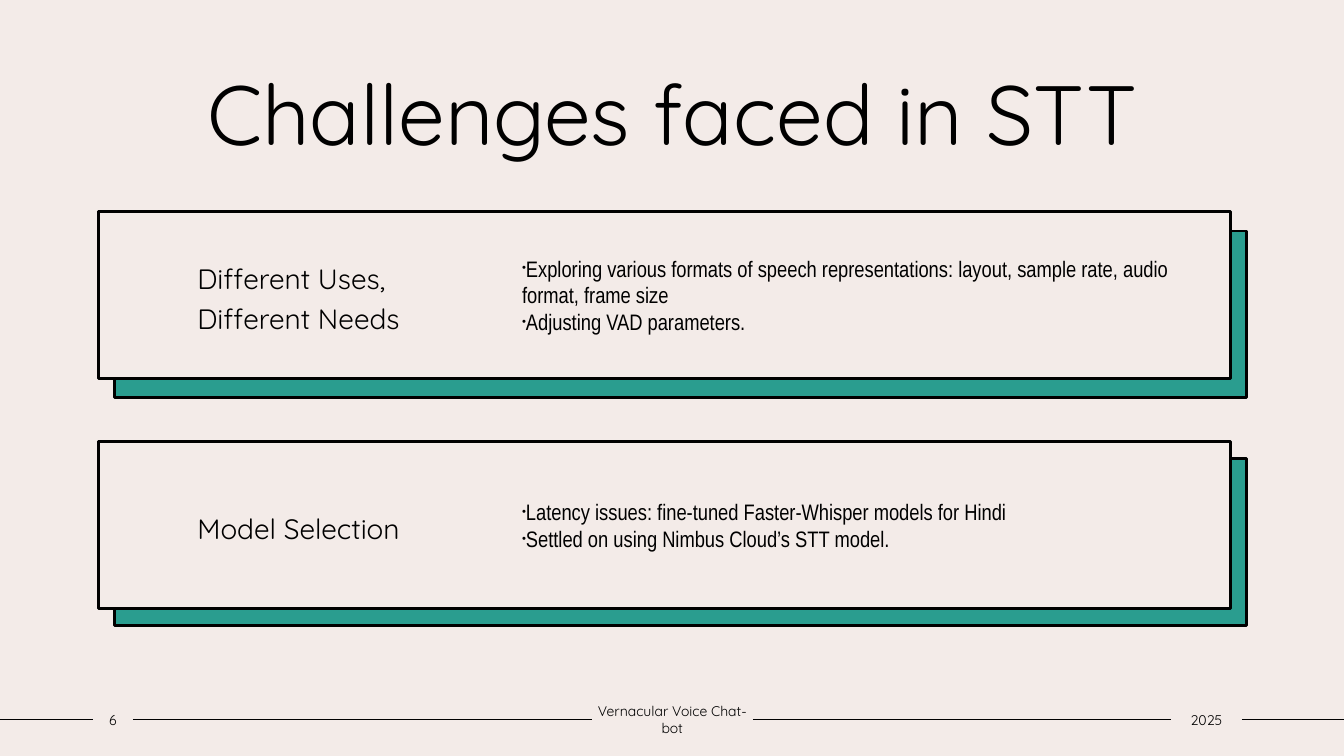
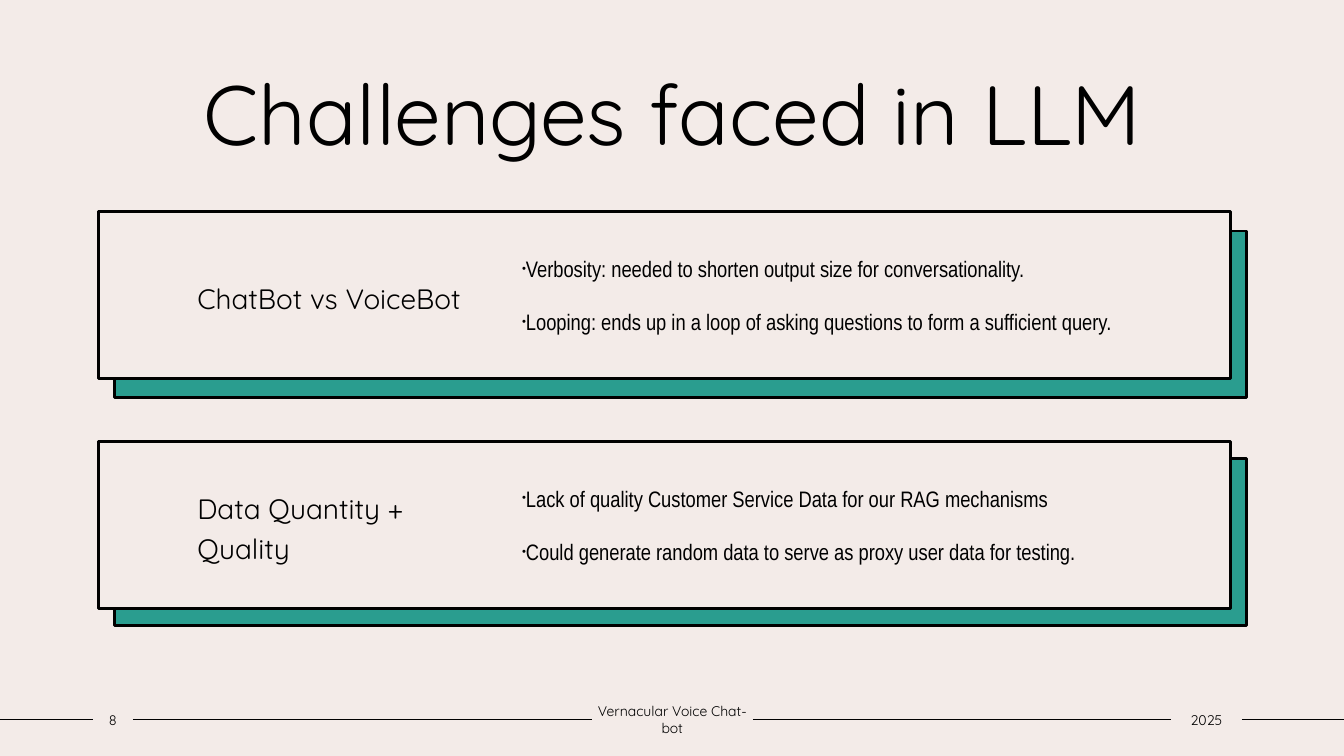
from itertools import zip_longest

from lxml import etree
from pptx import Presentation
from pptx.dml.color import RGBColor
from pptx.enum.shapes import MSO_CONNECTOR, MSO_SHAPE
from pptx.enum.text import MSO_ANCHOR, MSO_AUTO_SIZE, PP_ALIGN
from pptx.oxml.ns import qn
from pptx.util import Pt

RECTANGLE = MSO_SHAPE.RECTANGLE
STRAIGHT = MSO_CONNECTOR.STRAIGHT
TOP, MIDDLE = MSO_ANCHOR.TOP, MSO_ANCHOR.MIDDLE
LEFT, CENTER = PP_ALIGN.LEFT, PP_ALIGN.CENTER
NO_AUTOFIT = MSO_AUTO_SIZE.NONE

CREAM = RGBColor(0xF3, 0xEB, 0xE8)
TEAL = RGBColor(0x2A, 0x9D, 0x8F)
BLACK = RGBColor(0, 0, 0)

# Each card: heading lines, bullets, space between bullets
SLIDES = [
    {
        "title": "Challenges faced in STT",
        "number": "6",
        "cards": [
            (["Different Uses,", "Different Needs"],
             ["Exploring various formats of speech representations: layout, "
              "sample rate, audio format, frame size",
              "Adjusting VAD parameters."], 0),
            (["Model Selection"],
             ["Latency issues: fine-tuned Faster-Whisper models for Hindi",
              "Settled on using Nimbus Cloud’s STT model."], 0),
        ],
    },
    {
        "title": "Challenges faced in LLM",
        "number": "8",
        "cards": [
            (["ChatBot vs VoiceBot"],
             ["Verbosity: needed to shorten output size for conversationality.",
              "Looping: ends up in a loop of asking questions to form a "
              "sufficient query."], 19),
            (["Data Quantity +", "Quality"],
             ["Lack of quality Customer Service Data for our RAG mechanisms",
              "Could generate random data to serve as proxy user data for "
              "testing."], 19),
        ],
    },
]
DECK_NAME = "Vernacular Voice Chat-bot"
YEAR = "2025"

SLIDE_W, SLIDE_H = 960, 540
TITLE_BOX = (90, 40.3, 780.5, 80)
CARD_LEFT, CARD_W, CARD_H = 70.5, 808.5, 119
CARD_TOPS = (151.2, 315.4)
SHADOW_LEFT = 82
SHADOW_TOPS = (165, 327.6)
BULLETS_LEFT, BULLETS_W, BULLETS_INSET = 365.8, 504.7, 7.2
FOOTER_TOP, FOOTER_H = 504.4, 19.4
FOOTER_SPANS = ((66.2, 28.8), (422.6, 115.2), (836.6, 50.4))

TITLE_FONT = {"name": "Quicksand", "size": Pt(60)}
HEADING_FONT = {"name": "Quicksand", "size": Pt(20)}
BULLET_FONT = {"name": "Arial Narrow", "size": Pt(16)}
FOOTER_FONT = {"name": "Quicksand", "size": Pt(10)}


def points(*lengths):
    return [Pt(length) for length in lengths]


def add_bullet(paragraph):
    properties = paragraph._p.get_or_add_pPr()
    properties.set("marL", "0")
    properties.set("indent", str(-Pt(10.8)))
    etree.SubElement(properties, qn("a:buSzPct")).set("val", "50000")
    etree.SubElement(properties, qn("a:buFont")).set("typeface", "Arial")
    etree.SubElement(properties, qn("a:buChar")).set("char", "•")


def write(frame, lines, font, align=LEFT, anchor=MIDDLE, insets=(7.2, 7.2),
          spacing=1.0, gap=0, bullets=False):
    """Fill a text frame, one paragraph per line; insets are left and right."""
    frame_format = {
        "word_wrap": True, "auto_size": NO_AUTOFIT, "vertical_anchor": anchor,
        "margin_left": Pt(insets[0]), "margin_right": Pt(insets[1]),
        "margin_top": Pt(3.6), "margin_bottom": Pt(3.6),
    }
    for name, value in frame_format.items():
        setattr(frame, name, value)
    for index, line in enumerate(lines):
        paragraph = frame.add_paragraph() if index else frame.paragraphs[0]
        paragraph.text = line
        paragraph.alignment = align
        paragraph.line_spacing = spacing
        paragraph.space_before = Pt(gap if index else 0)
        if bullets:
            add_bullet(paragraph)
        for name, value in font.items():
            setattr(paragraph.font, name, value)
        paragraph.font.color.rgb = BLACK


def add_panel(slide, left, top, fill):
    panel = slide.shapes.add_shape(
        RECTANGLE, *points(left, top, CARD_W, CARD_H))
    panel.shadow.inherit = False
    panel.fill.solid()
    panel.fill.fore_color.rgb = fill
    panel.line.color.rgb = BLACK
    panel.line.width = Pt(2)
    return panel


def add_card(slide, top, shadow_top, heading, bullets, gap):
    add_panel(slide, SHADOW_LEFT, shadow_top, TEAL)
    card = add_panel(slide, CARD_LEFT, top, CREAM)
    write(card.text_frame, heading, HEADING_FONT, insets=(70.5, 511),
          spacing=1.2)
    details = slide.shapes.add_textbox(*points(
        BULLETS_LEFT, top + BULLETS_INSET, BULLETS_W,
        CARD_H - 2 * BULLETS_INSET))
    write(details.text_frame, bullets, BULLET_FONT, gap=gap, bullets=True)


def add_footer(slide, number):
    """Three labels with rules running between them and to the slide edges."""
    labels = []
    for (left, width), text in zip(FOOTER_SPANS, (number, DECK_NAME, YEAR)):
        label = slide.shapes.add_textbox(
            *points(left, FOOTER_TOP, width, FOOTER_H))
        write(label.text_frame, [text], FOOTER_FONT, CENTER, insets=(0, 0))
        labels.append(label)

    rule_y = FOOTER_TOP + FOOTER_H / 2
    for before, after in zip_longest([None] + labels, labels):
        rule = slide.shapes.add_connector(
            STRAIGHT, *points(0, rule_y, SLIDE_W, rule_y))
        if before:
            rule.begin_connect(before, 3)
        if after:
            rule.end_connect(after, 1)
        rule.line.color.rgb = BLACK
        rule.line.width = Pt(1)
        etree.SubElement(rule._element.spPr, qn("a:effectLst"))


def add_slide(deck, content):
    slide = deck.slides.add_slide(deck.slide_layouts[5])
    title = slide.shapes.title
    title.left, title.top, title.width, title.height = points(*TITLE_BOX)
    write(title.text_frame, [content["title"]], TITLE_FONT, CENTER, TOP)
    for top, shadow_top, card in zip(CARD_TOPS, SHADOW_TOPS, content["cards"]):
        add_card(slide, top, shadow_top, *card)
    add_footer(slide, content["number"])


def main():
    deck = Presentation()
    deck.slide_width, deck.slide_height = points(SLIDE_W, SLIDE_H)
    background = deck.slide_master.background.fill
    background.solid()
    background.fore_color.rgb = CREAM
    for content in SLIDES:
        add_slide(deck, content)
    deck.save("out.pptx")


if __name__ == "__main__":
    main()
